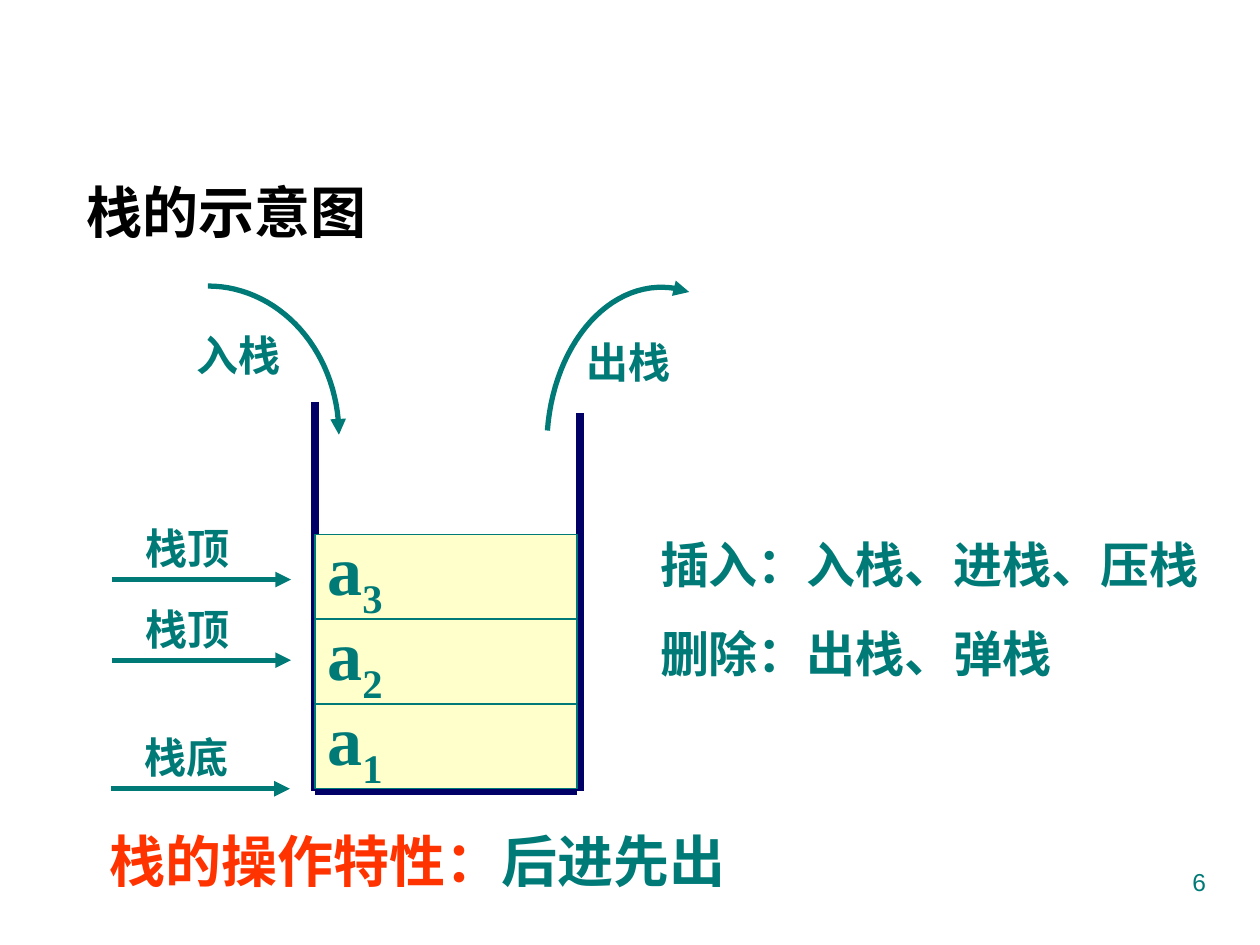
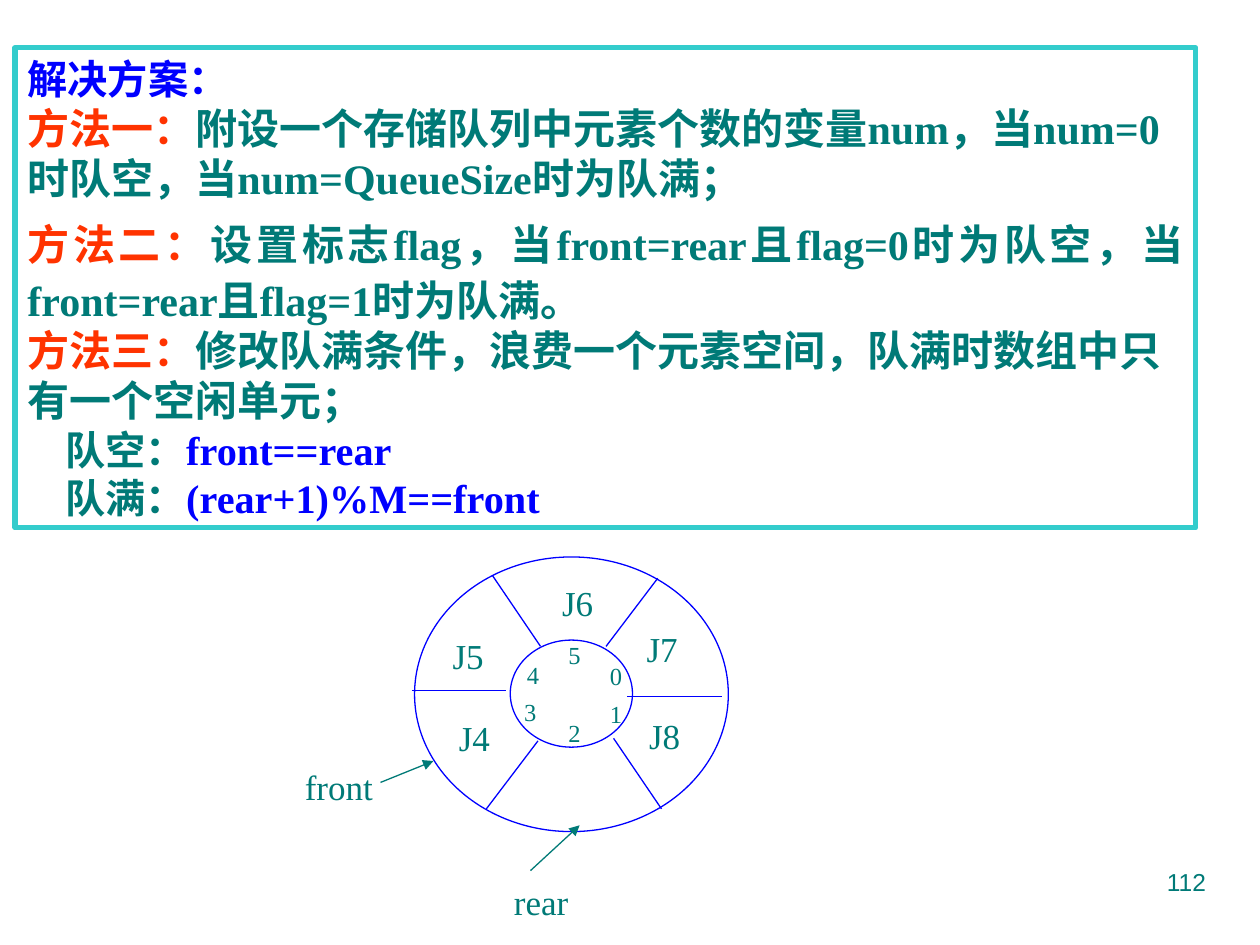
from math import cos, radians, sin

from lxml.etree import SubElement
from pptx import Presentation
from pptx.dml.color import RGBColor
from pptx.enum.shapes import MSO_CONNECTOR, MSO_SHAPE
from pptx.enum.text import MSO_ANCHOR, PP_ALIGN
from pptx.oxml.ns import qn
from pptx.util import Inches, Pt

TEAL = "007A77"
RED = "FF3300"
BLUE = "0000FF"
NAVY = "000066"
SERIF = "Times New Roman"
CHINESE = "Noto Sans CJK SC"
color = RGBColor.from_string


def write_text(shape, paragraphs, bold=True, font=SERIF, align=PP_ALIGN.LEFT,
               anchor=MSO_ANCHOR.TOP, wrap=True):
    frame = shape.text_frame
    frame.word_wrap = wrap
    frame.vertical_anchor = anchor
    for index, runs in enumerate(paragraphs):
        paragraph = frame.add_paragraph() if index else frame.paragraphs[0]
        paragraph.alignment = align
        for text, ink, size in runs:
            run = paragraph.add_run()
            run.text = text
            run.font.name = font
            run.font.size = Pt(size)
            run.font.bold = bold
            run.font.color.rgb = color(ink)
            SubElement(run.font._element, qn("a:ea"), typeface=CHINESE)


def draw_line(slide, points, ink, width, arrow=False):
    connector = slide.shapes.add_connector(MSO_CONNECTOR.STRAIGHT, *map(Inches, points))
    connector.line.color.rgb = color(ink)
    connector.line.width = Pt(width)
    SubElement(connector._element.spPr, qn("a:effectLst"))
    if arrow:
        SubElement(connector.line._get_or_add_ln(), qn("a:tailEnd"), type="triangle")


presentation = Presentation()
presentation.slide_width = Inches(10)
presentation.slide_height = Inches(7.5)
blank_layout = presentation.slide_layouts[6]

stack_slide = presentation.slides.add_slide(blank_layout)

stack_walls = [
    (2.5, 3.19, 2.5, 6.28),
    (2.5, 6.28, 4.58, 6.28),
    (4.6, 3.28, 4.6, 6.28),
]
for wall in stack_walls:
    draw_line(stack_slide, wall, NAVY, 4.5)

for position in range(3):
    cell = stack_slide.shapes.add_shape(
        MSO_SHAPE.RECTANGLE, Inches(2.5), Inches(5.59 - position * 0.675), Inches(2.08), Inches(0.67))
    cell.shadow.inherit = False
    cell.fill.solid()
    cell.fill.fore_color.rgb = color("FFFFCC")
    cell.line.color.rgb = color(TEAL)
    cell.line.width = Pt(0.75)
    cell.text_frame.margin_top = 0
    write_text(cell, [[("a", TEAL, 40), (str(position + 1), TEAL, 40)]], anchor=MSO_ANCHOR.MIDDLE)
    subscript = cell.text_frame.paragraphs[0].runs[1]
    subscript.font._element.set("baseline", "-25000")

push_and_pop_curves = [
    (1.65, 3.45, 1.04, 1.18, 270, 360),
    (5.25, 3.55, 0.91, 1.27, 186, 284),
]
for center_x, center_y, radius_x, radius_y, start, end in push_and_pop_curves:
    steps = 30
    angles = [radians(start + (end - start) * step / steps) for step in range(steps + 1)]
    points = [(Inches(center_x + radius_x * cos(angle)), Inches(center_y + radius_y * sin(angle)))
              for angle in angles]
    builder = stack_slide.shapes.build_freeform(*points[0])
    builder.add_line_segments(points[1:], close=False)
    curve = builder.convert_to_shape()
    curve.shadow.inherit = False
    curve.fill.background()
    curve.line.color.rgb = color(TEAL)
    curve.line.width = Pt(3)
    SubElement(curve.line._get_or_add_ln(), qn("a:tailEnd"), type="triangle")

for left, y in [(0.88, 6.26), (0.89, 4.6), (0.89, 5.24)]:
    draw_line(stack_slide, (left, y, left + 1.42, y), TEAL, 3, arrow=True)

stack_texts = [
    ((0.59, 1.36, 5.58, 0.64), [[("栈的示意图", "000000", 32)]]),
    ((1.46, 2.57, 0.98, 0.5), [[("入栈", TEAL, 24)]]),
    ((4.56, 2.62, 0.92, 0.5), [[("出栈", TEAL, 24)]]),
    ((1.06, 4.1, 1, 0.5), [[("栈顶", TEAL, 24)]]),
    ((1.06, 4.74, 1, 0.5), [[("栈顶", TEAL, 24)]]),
    ((1.05, 5.76, 1, 0.5), [[("栈底", TEAL, 24)]]),
    ((5.14, 4.19, 4.51, 1.28), [[("插入：入栈、进栈、压栈", TEAL, 28)], [("删除：出栈、弹栈", TEAL, 28)]]),
    ((0.77, 6.51, 7.08, 0.64), [[("栈的操作特性：", RED, 32), ("后进先出", TEAL, 32)]]),
]
for box, paragraphs in stack_texts:
    text_box = stack_slide.shapes.add_textbox(*map(Inches, box))
    write_text(text_box, paragraphs)
    for paragraph in text_box.text_frame.paragraphs[1:]:
        paragraph.space_before = Pt(17.5)

queue_slide = presentation.slides.add_slide(blank_layout)

for ring_box in [(3.29, 4.42, 2.49, 2.18), (4.05, 5.08, 0.97, 0.85)]:
    ring = queue_slide.shapes.add_shape(MSO_SHAPE.OVAL, *map(Inches, ring_box))
    ring.shadow.inherit = False
    ring.fill.background()
    ring.line.color.rgb = color(BLUE)
    ring.line.width = Pt(0.75)

spokes = [
    (3.27, 5.48, 4.02, 5.48),
    (4.98, 5.53, 5.73, 5.53),
    (3.91, 4.57, 4.29, 5.13),
    (4.87, 5.86, 5.25, 6.42),
    (5.22, 4.59, 4.81, 5.13),
    (4.27, 5.88, 3.86, 6.42),
]
for spoke in spokes:
    draw_line(queue_slide, spoke, BLUE, 0.75)

for pointer in [(3.02, 6.21, 3.44, 6.04), (4.21, 6.91, 4.6, 6.55)]:
    draw_line(queue_slide, pointer, TEAL, 0.75, arrow=True)

queue_labels = [
    ("J4", 3.54, 5.64, 0.45), ("J5", 3.49, 4.99, 0.45), ("J6", 4.36, 4.57, 0.45),
    ("J7", 5.03, 4.93, 0.45), ("J8", 5.05, 5.62, 0.45),
    ("front", 2.32, 6.03, 0.74), ("rear", 3.98, 6.94, 0.63),
    ("0", 4.74, 5.2, 0.3), ("1", 4.74, 5.5, 0.3), ("2", 4.41, 5.65, 0.3),
    ("3", 4.06, 5.48, 0.3), ("4", 4.08, 5.19, 0.3), ("5", 4.41, 5.03, 0.3),
]
for label, left, top, width in queue_labels:
    size, height = (14, 0.33) if label.isdigit() else (20, 0.43)
    text_box = queue_slide.shapes.add_textbox(Inches(left), Inches(top), Inches(width), Inches(height))
    write_text(text_box, [[(label, TEAL, size)]], bold=False, align=PP_ALIGN.CENTER,
               anchor=MSO_ANCHOR.MIDDLE, wrap=False)

solution = queue_slide.shapes.add_shape(
    MSO_SHAPE.RECTANGLE, Inches(0.12), Inches(0.38), Inches(9.37), Inches(3.81))
solution.shadow.inherit = False
solution.fill.background()
solution.line.color.rgb = color("33CCCC")
solution.line.width = Pt(3)
write_text(solution, [
    [("解决方案：", BLUE, 23)],
    [("方法一：", RED, 24),
     ("附设一个存储队列中元素个数的变量num，当num=0时队空，当num=QueueSize时为队满；", TEAL, 24)],
    [("方法二：", RED, 24),
     ("设置标志flag，当front=rear且flag=0时为队空，当front=rear且flag=1时为队满。", TEAL, 24)],
    [("方法三：", RED, 24),
     ("修改队满条件，浪费一个元素空间，队满时数组中只有一个空闲单元", TEAL, 24),
     ("；", TEAL, 24)],
    [("队空：", TEAL, 23), ("front==rear", BLUE, 23)],
    [("队满：", TEAL, 23), ("(rear+1)%M==front", BLUE, 23)],
], anchor=MSO_ANCHOR.MIDDLE)
solution_paragraphs = solution.text_frame.paragraphs
second_method = solution_paragraphs[2]
second_method.alignment = PP_ALIGN.JUSTIFY
second_method.line_spacing = 1.1
second_method.space_before = Pt(6)
for run in solution_paragraphs[3].runs[:2]:
    run.font.name = CHINESE
for condition in solution_paragraphs[4:]:
    condition._p.get_or_add_pPr().set("marL", str(Inches(0.3)))

for slide, number in [(stack_slide, "6"), (queue_slide, "112")]:
    number_box = slide.shapes.add_textbox(Inches(7.17), Inches(6.83), Inches(2.5), Inches(0.52))
    write_text(number_box, [[(number, TEAL, 14)]], bold=False, font="Arial", align=PP_ALIGN.RIGHT)

presentation.save("out.pptx")
